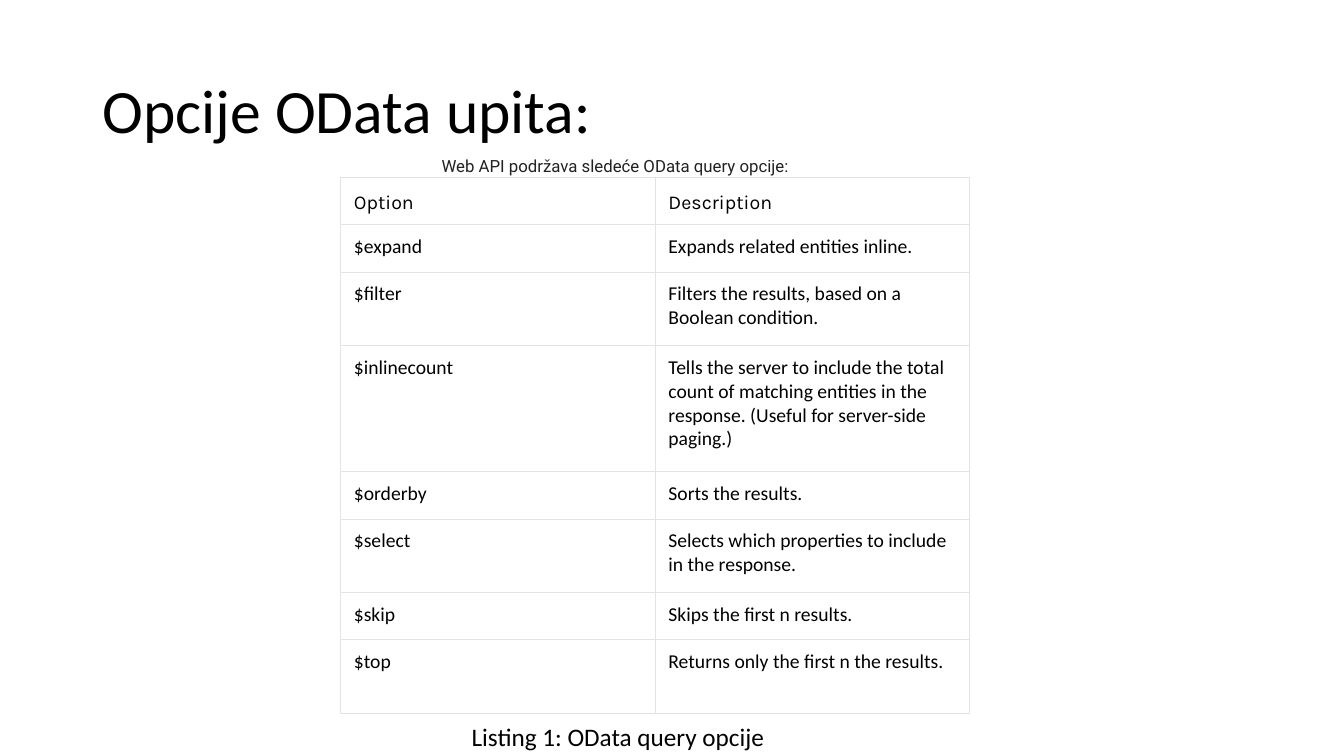
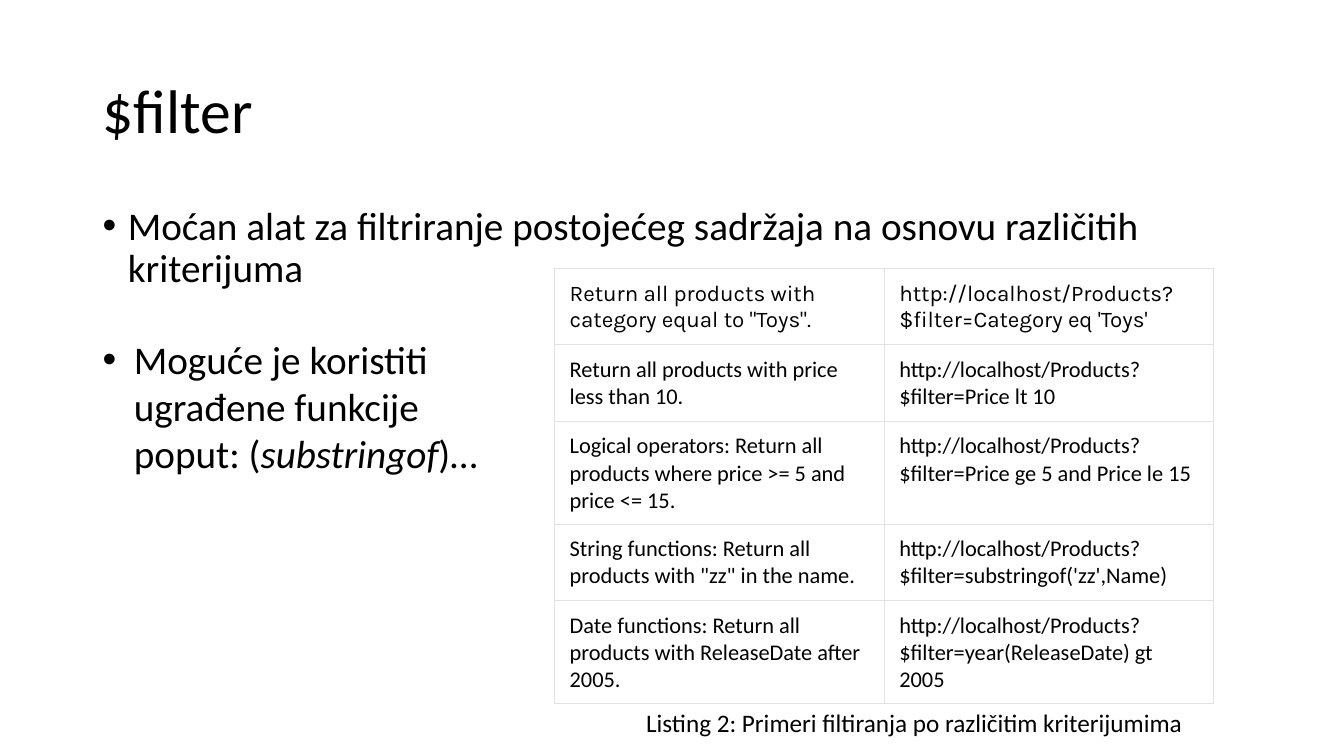
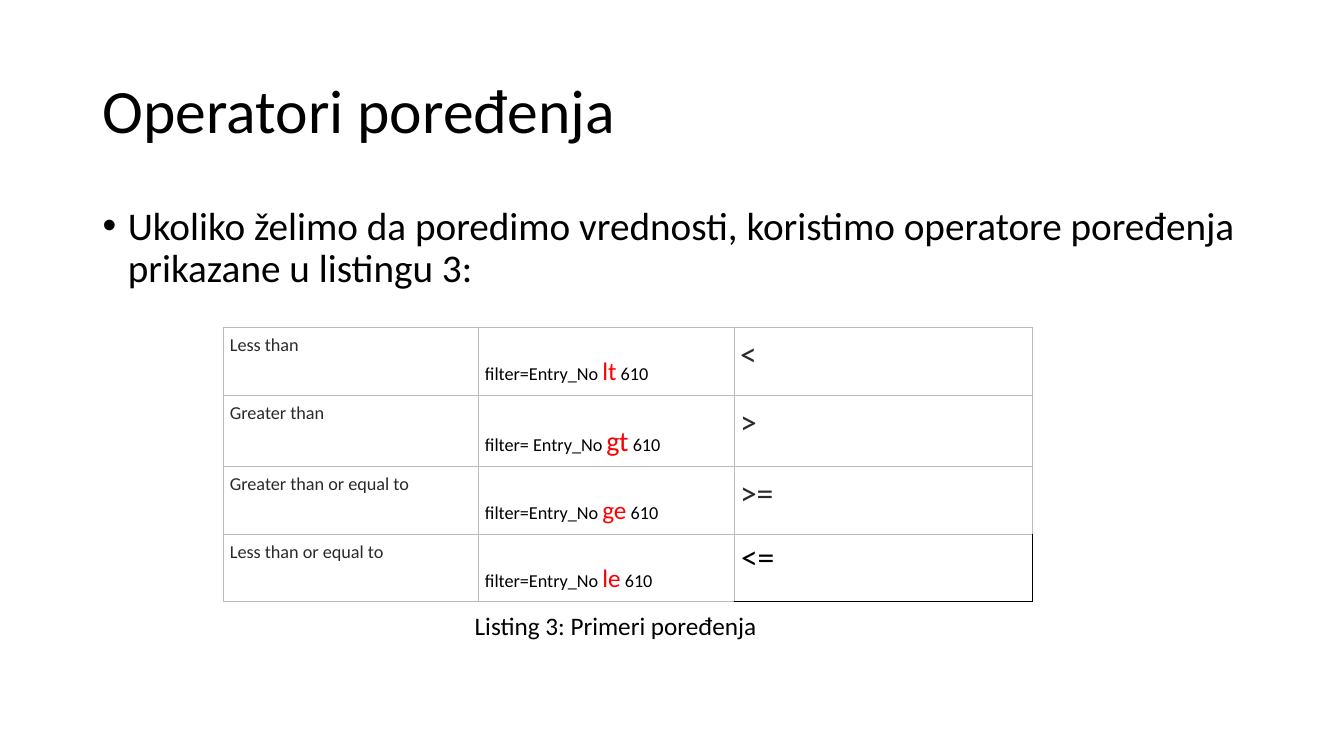
from lxml.etree import SubElement
from pptx import Presentation
from pptx.dml.color import RGBColor
from pptx.enum.shapes import MSO_SHAPE as Shape
from pptx.enum.text import MSO_ANCHOR as Anchor, MSO_AUTO_SIZE as AutoSize
from pptx.oxml.ns import qn
from pptx.util import Inches, Pt

BLACK, WHITE, RED = "000000", "FFFFFF", "FF0000"
GREY, PALE, DARK, INK = "BBBBBB", "E3E3E3", "2A2A2A", "222222"
BODY = {"line_spacing": 0.9, "space_before": Pt(10)}


def colour(value):
    return RGBColor.from_string(value)


def apply(target, values):
    for name, value in values.items():
        setattr(target, name, value)


class Builder:
    """Holds the shared style and draws elements on the current slide."""

    base = {"name": "Calibri", "size": 18, "color": BLACK}
    sides = "LRTB"

    def __init__(self):
        self.deck = Presentation()
        apply(self.deck, {"slide_width": Inches(13.33), "slide_height": Inches(7.5)})
        self.page = None

    def slide(self, title):
        self.page = self.deck.slides.add_slide(self.deck.slide_layouts[6])
        self.text((0.92, 0.4, 11.5, 1.45), title, {"size": 44},
                  {"line_spacing": 0.9}, anchor=Anchor.MIDDLE)

    def fill_text(self, frame, spans, font, layout):
        para = frame.paragraphs[0]
        apply(para, layout)
        for item in [spans] if isinstance(spans, str) else spans:
            words, extra = (item, {}) if isinstance(item, str) else item
            look = {**self.base, **font, **extra}
            span = para.add_run()
            span.text = words
            span.font.color.rgb = colour(look.pop("color"))
            apply(span.font, {**look, "size": Pt(look["size"])})
        return para

    def text(self, at, spans, font={}, layout={}, anchor=Anchor.TOP, grow=False):
        box = self.page.shapes.add_textbox(*map(Inches, at))
        size = AutoSize.SHAPE_TO_FIT_TEXT if grow else AutoSize.NONE
        apply(box.text_frame, {"word_wrap": True, "vertical_anchor": anchor, "auto_size": size})
        return self.fill_text(box.text_frame, spans, font, layout)

    def bullet(self, at, spans, indent, layout={}, grow=False):
        para = self.text(at, spans, {"size": 28}, layout, grow=grow)
        props = para._p.get_or_add_pPr()
        props.set("marL", str(Inches(indent)))
        props.set("indent", str(-Inches(indent)))
        SubElement(props, qn("a:buFont"), typeface="Arial")
        SubElement(props, qn("a:buChar"), char="•")

    def caption(self, left, top, words):
        self.text((left, top, 5.86, 0.4), words, grow=True)

    def label(self, at, words, font):
        box = self.page.shapes.add_shape(Shape.RECTANGLE, *map(Inches, at))
        box.shadow.inherit = False
        box.fill.solid()
        box.fill.fore_color.rgb = colour(WHITE)
        box.line.fill.background()
        apply(box.text_frame, {
            "margin_left": Inches(0.06), "margin_right": 0, "margin_top": 0,
            "margin_bottom": 0, "word_wrap": True, "vertical_anchor": Anchor.MIDDLE,
            "auto_size": AutoSize.SHAPE_TO_FIT_TEXT})
        self.fill_text(box.text_frame, words, font, {"alignment": 1})

    def edges(self, cell, lines):
        props = cell._tc.get_or_add_tcPr()
        for side in self.sides:
            shade, weight = lines[side]
            line = SubElement(props, qn(f"a:ln{side}"), w=str(Pt(weight)))
            SubElement(SubElement(line, qn("a:solidFill")), qn("a:srgbClr"), val=shade)

    def table(self, place, widths, heights, rows, look):
        size = (sum(widths), sum(heights))
        grid = self.page.shapes.add_table(
            len(rows), len(widths), *map(Inches, (*place, *size))).table
        apply(grid, {"first_row": False, "horz_banding": False})
        for column, width in zip(grid.columns, widths):
            column.width = Inches(width)
        for row, height in zip(grid.rows, heights):
            row.height = Inches(height)
        for r, row in enumerate(rows):
            for c, spans in enumerate(row):
                cell, style = grid.cell(r, c), look(r, c)
                names = ("margin_left", "margin_top", "margin_right", "margin_bottom")
                apply(cell, dict(zip(names, map(Inches, style["inset"]))))
                cell.vertical_anchor = style.get("anchor", Anchor.TOP)
                self.fill_text(cell.text_frame, spans, style["font"], {})
                self.edges(cell, style["edges"])
                if "fill" in style:
                    cell.fill.solid()
                    cell.fill.fore_color.rgb = colour(style["fill"])
                else:
                    cell.fill.background()

    def listing(self, place, width, heights, rows, size, inset):
        def look(r, c):
            head, last = r == 0, r == len(rows) - 1
            return {
                "inset": inset * 2, "fill": WHITE,
                "anchor": Anchor.BOTTOM if head else Anchor.TOP,
                "font": {"size": size, "name": "Karla" if head else "Calibri"},
                "edges": {"L": (PALE, 1), "R": (PALE, 1),
                          "T": (PALE, 1 if head else 0.75),
                          "B": (PALE, 1 if last else 0.75)}}
        self.table(place, [width] * 2, heights, rows, look)


OPTIONS = [
    ("Option", "Description"),
    ("$expand", "Expands related entities inline."),
    ("$filter", "Filters the results, based on a Boolean condition."),
    ("$inlinecount", "Tells the server to include the total count of matching entities "
                     "in the response. (Useful for server-side paging.)"),
    ("$orderby", "Sorts the results."),
    ("$select", "Selects which properties to include in the response."),
    ("$skip", "Skips the first n results."),
    ("$top", "Returns only the first n the results."),
]
FILTERS = [
    ('Return all products with category equal to "Toys".', "Category\u00a0eq 'Toys'"),
    ("Return all products with price less than 10.", "Price\u00a0lt 10"),
    ("Logical operators: Return all products where price >= 5 and price <= 15.",
     "Price\u00a0ge 5 and Price le 15"),
    ('String functions: Return all products with "zz" in the name.',
     "substringof('zz',Name)"),
    ("Date functions: Return all products with ReleaseDate after 2005.",
     "year(ReleaseDate)\u00a0gt 2005"),
]
OPERATORS = [
    ("Less than", "filter=Entry_No ", "lt", 18, "<"),
    ("Greater than", "filter= Entry_No ", "gt", 20, ">"),
    ("Greater than or equal to", "filter=Entry_No ", "ge", 18, ">="),
    ("Less than or equal to", "filter=Entry_No ", "le", 18, "<="),
]


def operator_look(r, c):
    corner = (r, c) == (3, 2)
    top = 0.29 if c == 1 else 0.07
    outer = (BLACK if corner else GREY, 0.75)
    return {
        "inset": (0.07, 0.03) * 2 if corner else (0.06, top, 0.06, 0.07),
        "font": {"size": 24 if c == 2 else 13,
                 "color": BLACK if c == 1 or corner else DARK},
        "edges": {"L": (GREY, 0.75), "T": (GREY, 0.75), "R": outer, "B": outer}}


show = Builder()

show.slide("Opcije OData upita:")
show.listing((3.38, 1.76), 3.12, [0.47, 0.47, 0.73, 1.25, 0.47, 0.73, 0.47, 0.73],
             OPTIONS, 14, (0.13, 0.1))
show.label((4.32, 1.55, 5.73, 0.2), "Web API podržava sledeće OData query opcije:",
           {"name": "Roboto", "size": 12, "color": INK})
show.caption(4.58, 7.11, "Listing 1: OData query opcije")

show.slide("$filter")
show.bullet((0.92, 2, 11.91, 1.32),
            "Moćan alat za filtriranje postojećeg sadržaja na osnovu različitih kriterijuma",
            0.25, BODY)
show.listing((5.5, 2.66), 3.27, [0.76, 0.76, 1.02, 0.76, 1.02],
             [(goal, f"http://localhost/Products?$filter={query}") for goal, query in FILTERS],
             16, (0.15, 0.11))
show.bullet((0.92, 3.28, 4.16, 1.51),
            ["Moguće je koristiti ugrađene funkcije poput: (",
             ("substringof", {"italic": True}), ")…"], 0.31, grow=True)
show.caption(6.31, 6.97, "Listing 2: Primeri filtiranja po različitim kriterijumima")

show.slide("Operatori poređenja")
show.bullet((0.92, 2, 11.5, 4.76),
            "Ukoliko želimo da poredimo vrednosti, koristimo operatore poređenja "
            "prikazane u listingu 3:", 0.25, BODY)
show.table((2.22, 3.25), [2.53, 2.53, 2.96], [0.67, 0.71, 0.67, 0.67],
           [(meaning, [start, (code, {"size": size, "color": RED}), " 610 "], sign)
            for meaning, start, code, size, sign in OPERATORS], operator_look)
show.caption(4.61, 6.01, "Listing 3: Primeri poređenja")

show.deck.save("out.pptx")
